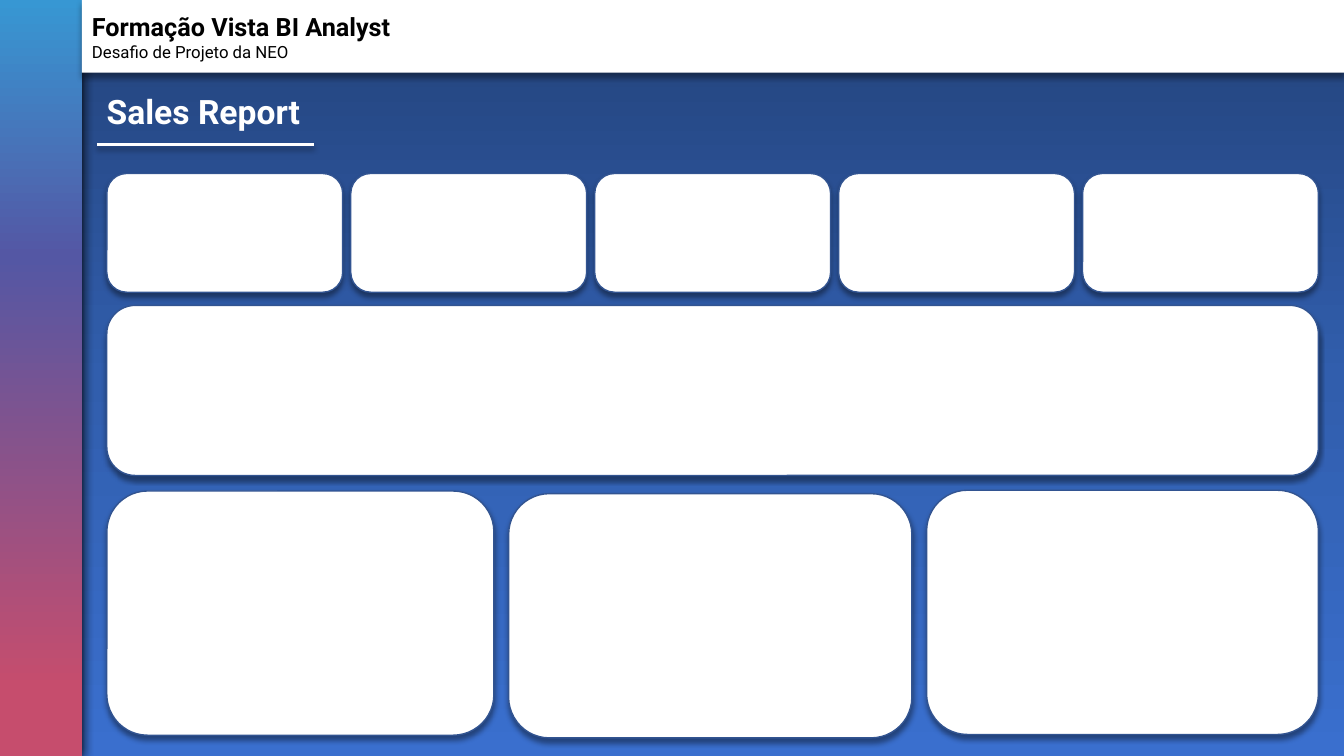
import copy
import dataclasses
import typing

import lxml.etree
import pptx
import pptx.dml.color
import pptx.enum.shapes
import pptx.enum.text
import pptx.oxml.ns
import pptx.util

Color = pptx.dml.color.RGBColor
Preset = pptx.enum.shapes.MSO_SHAPE
qn = pptx.oxml.ns.qn

WHITE = Color(0xFF, 0xFF, 0xFF)
BLACK = Color(0x00, 0x00, 0x00)
CARD_EDGE = Color(0x32, 0x54, 0x91)
FONT = "Roboto"
SLIDE_WIDTH = pptx.util.Inches(13.333)
SLIDE_HEIGHT = pptx.util.Inches(7.5)

# All positions below are percentages of the slide's width or height.
SIDEBAR_WIDTH = 6.1
HEADER_HEIGHT = 9.6
CARDS_LEFT = 7.95
CARDS_WIDTH = 90.15
KPI_COUNT = 5
KPI_GAP = 0.6
PANEL_GAP = 1.1


@dataclasses.dataclass(frozen=True)
class Box:
    left: float
    top: float
    width: float
    height: float

    def lengths(self) -> tuple[int, int, int, int]:
        return (across(self.left), down(self.top),
                across(self.width), down(self.height))


@dataclasses.dataclass(frozen=True)
class Stop:
    position: float
    color: Color


@dataclasses.dataclass(frozen=True)
class Shadow:
    opacity: int = 40
    blur: float = 4
    distance: float = 3


@dataclasses.dataclass(frozen=True)
class Panel:
    top: float
    width: float


BACKDROP = (Stop(0, Color(0x23, 0x42, 0x7A)), Stop(0.5, Color(0x31, 0x5E, 0xAD)),
            Stop(1, Color(0x3A, 0x6F, 0xCE)))
SIDEBAR = (Stop(0, Color(0x37, 0x97, 0xD3)), Stop(0.34, Color(0x54, 0x57, 0xA4)),
           Stop(0.91, Color(0xC6, 0x4D, 0x6D)))
SOFT_SHADOW = Shadow()
SIDEBAR_SHADOW = Shadow(opacity=100, blur=8.5, distance=1)
BOTTOM_PANELS = (Panel(64.95, 28.8), Panel(65.3, 30), Panel(64.85, 29.15))


def across(share: float) -> int:
    return round(SLIDE_WIDTH * share / 100)


def down(share: float) -> int:
    return round(SLIDE_HEIGHT * share / 100)


def set_shadow(shape: typing.Any, shadow: typing.Optional[Shadow]) -> None:
    """Give the shape a downward shadow, or an empty effect list for none."""
    effects = lxml.etree.SubElement(shape._element.spPr, qn("a:effectLst"))
    if shadow is None:
        return
    outer = lxml.etree.SubElement(
        effects, qn("a:outerShdw"), blurRad=str(pptx.util.Pt(shadow.blur)),
        dist=str(pptx.util.Pt(shadow.distance)), dir="5400000", rotWithShape="0")
    color = lxml.etree.SubElement(outer, qn("a:srgbClr"), val=str(BLACK))
    lxml.etree.SubElement(color, qn("a:alpha"), val=str(shadow.opacity * 1000))


def set_gradient(shape: typing.Any, stops: tuple[Stop, ...]) -> None:
    """Fill the shape from top to bottom through the given stops."""
    shape.fill.gradient()
    shape.fill.gradient_angle = 270
    stop_list = next(shape._element.spPr.iter(qn("a:gsLst")))
    while len(stop_list) < len(stops):
        stop_list.append(copy.deepcopy(stop_list[-1]))
    for target, stop in zip(shape.fill.gradient_stops, stops):
        target.position = stop.position
        target.color.rgb = stop.color


def add_block(page: typing.Any, box: Box, preset: Preset = Preset.RECTANGLE,
              gradient: tuple[Stop, ...] = (), edge: typing.Optional[Color] = None,
              shadow: typing.Optional[Shadow] = SOFT_SHADOW) -> None:
    """Add a shape that is white unless a gradient is given."""
    shape = page.shapes.add_shape(preset, *box.lengths())
    if gradient:
        set_gradient(shape, gradient)
    else:
        shape.fill.solid()
        shape.fill.fore_color.rgb = WHITE
    if edge is None:
        shape.line.fill.background()
    else:
        shape.line.color.rgb = edge
        shape.line.width = pptx.util.Pt(1)
    set_shadow(shape, shadow)


def add_card(page: typing.Any, box: Box) -> None:
    add_block(page, box, Preset.ROUNDED_RECTANGLE, edge=CARD_EDGE)


def add_text_frame(page: typing.Any, box: Box) -> typing.Any:
    frame = page.shapes.add_textbox(*box.lengths()).text_frame
    frame.word_wrap = True
    frame.auto_size = pptx.enum.text.MSO_AUTO_SIZE.SHAPE_TO_FIT_TEXT
    return frame


def write(para: typing.Any, text: str, *, size: float, color: Color = BLACK,
          bold: bool = False) -> None:
    span = para.add_run()
    span.text = text
    span.font.name = FONT
    span.font.size = pptx.util.Pt(size)
    span.font.bold = bold
    span.font.color.rgb = color


def add_header(page: typing.Any) -> None:
    add_block(page, Box(SIDEBAR_WIDTH, 0, 100 - SIDEBAR_WIDTH, HEADER_HEIGHT))
    frame = add_text_frame(page, Box(SIDEBAR_WIDTH, 0.8, 25.35, 8.13))
    write(frame.paragraphs[0], "Formação Vista BI Analyst", size=18, bold=True)
    write(frame.add_paragraph(), "Desafio de Projeto da NEO", size=12)


def add_title(page: typing.Any) -> None:
    frame = add_text_frame(page, Box(7.2, 11.33, 17.55, 6.67))
    write(frame.paragraphs[0], "Sales Report", size=24, color=WHITE, bold=True)
    rule = page.shapes.add_connector(
        pptx.enum.shapes.MSO_CONNECTOR.STRAIGHT,
        across(7.2), down(19.07), across(23.4), down(19.07))
    rule.line.color.rgb = WHITE
    rule.line.width = pptx.util.Pt(2)
    set_shadow(rule, SOFT_SHADOW)


def add_cards(page: typing.Any) -> None:
    kpi_width = (CARDS_WIDTH - KPI_GAP * (KPI_COUNT - 1)) / KPI_COUNT
    for column in range(KPI_COUNT):
        left = CARDS_LEFT + column * (kpi_width + KPI_GAP)
        add_card(page, Box(left, 22.95, kpi_width, 15.7))
    add_card(page, Box(CARDS_LEFT, 40.4, CARDS_WIDTH, 22.5))
    left = CARDS_LEFT
    for panel in BOTTOM_PANELS:
        add_card(page, Box(left, panel.top, panel.width, 32.3))
        left += panel.width + PANEL_GAP


def main() -> None:
    deck = pptx.Presentation()
    deck.slide_width = SLIDE_WIDTH
    deck.slide_height = SLIDE_HEIGHT
    page = deck.slides.add_slide(deck.slide_layouts[6])
    add_block(page, Box(0, 0, 100, 100), gradient=BACKDROP, shadow=None)
    add_block(page, Box(0, 0, SIDEBAR_WIDTH, 100), gradient=SIDEBAR,
              shadow=SIDEBAR_SHADOW)
    add_header(page)
    add_title(page)
    add_cards(page)
    deck.save("out.pptx")


if __name__ == "__main__":
    main()
